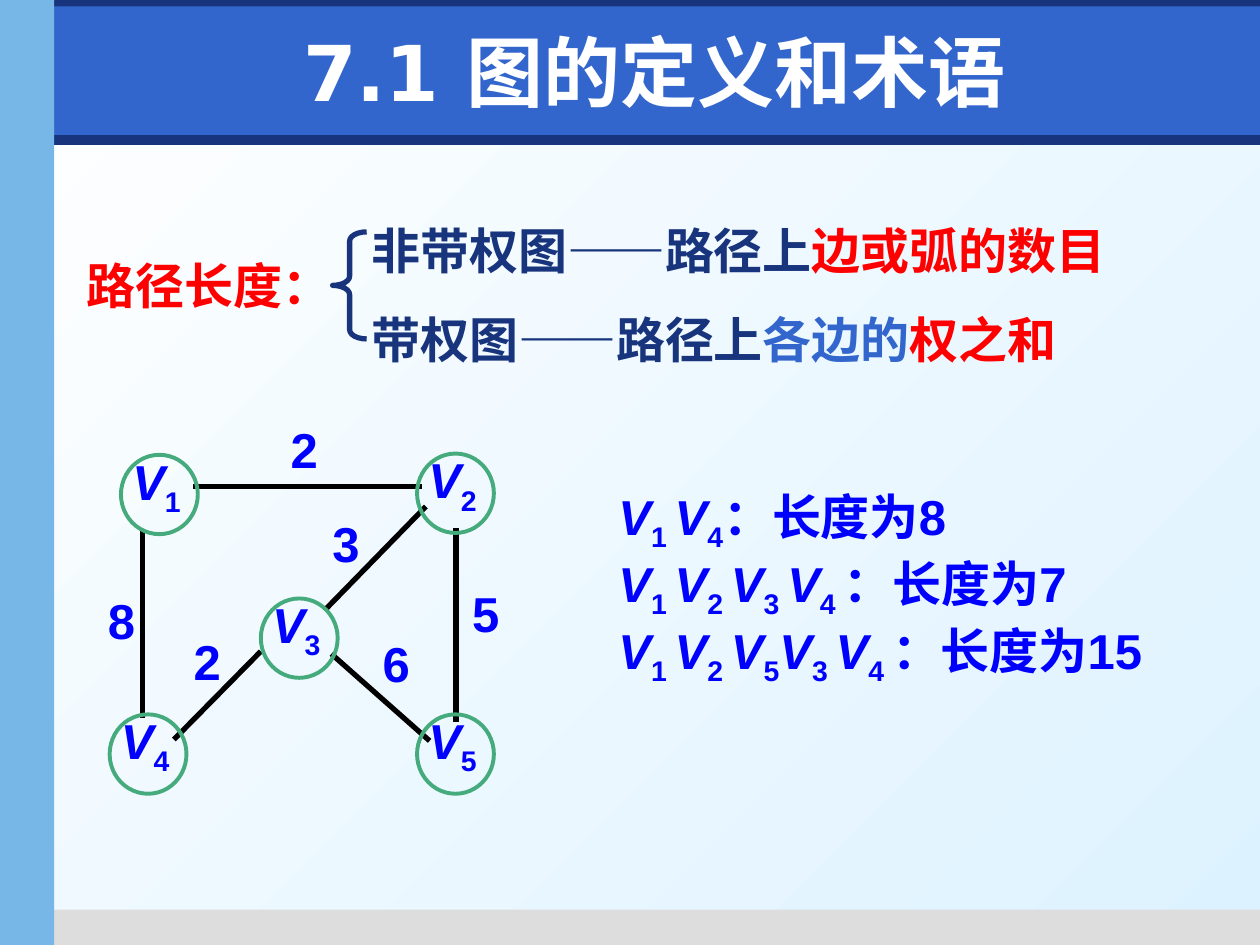
from dataclasses import dataclass

from lxml import etree
from pptx import Presentation
from pptx.dml.color import RGBColor
from pptx.enum.shapes import MSO_CONNECTOR, MSO_SHAPE
from pptx.enum.text import MSO_ANCHOR, MSO_AUTO_SIZE, PP_ALIGN
from pptx.oxml.ns import qn
from pptx.util import Pt

PX = 9144  # EMU per px, 100 px to the inch
RECTANGLE, OVAL, BRACE = MSO_SHAPE.RECTANGLE, MSO_SHAPE.OVAL, MSO_SHAPE.LEFT_BRACE
STRAIGHT = MSO_CONNECTOR.STRAIGHT
LEFT, CENTER, JUSTIFY = PP_ALIGN.LEFT, PP_ALIGN.CENTER, PP_ALIGN.JUSTIFY
TOP, MIDDLE = MSO_ANCHOR.TOP, MSO_ANCHOR.MIDDLE


@dataclass(frozen=True)
class Theme:
    navy: str = "17347D"
    blue: str = "3366CC"
    sky: str = "77B7E7"
    gray: str = "DDDDDD"
    pale: str = "DDF2FF"
    white: str = "FFFFFF"
    red: str = "FF0000"
    ink: str = "0000FF"
    green: str = "45AB7D"
    black: str = "000000"
    font: str = "Arial"
    title_font: str = "DejaVu Sans"
    asian_font: str = "Noto Sans CJK SC"
    body_size: int = 28
    title_size: int = 44
    edge_width: float = 3
    circle_width: float = 2.25


THEME = Theme()


def rgb(color):
    return RGBColor.from_string(color)


def write_text(frame, paragraphs, color=THEME.ink, size=THEME.body_size, font=THEME.font,
               align=LEFT, anchor=TOP, spacing=None, wrap=True, margins=None):
    """Fill a frame; each paragraph is a list of (text, run options) pairs."""
    frame.word_wrap = wrap
    frame.vertical_anchor = anchor
    if margins:
        (frame.margin_left, frame.margin_top,
         frame.margin_right, frame.margin_bottom) = [m * PX for m in margins]
    for index, runs in enumerate(paragraphs):
        paragraph = frame.add_paragraph() if index else frame.paragraphs[0]
        paragraph.alignment = align
        paragraph.line_spacing = spacing
        for text, options in runs:
            run = paragraph.add_run()
            run.text = text
            run.font.name = options.get("font", font)
            run.font.size = Pt(size)
            run.font.bold = True
            run.font.italic = options.get("italic", False)
            run.font.color.rgb = rgb(options.get("color", color))
            properties = run.font._element
            if options.get("subscript"):
                properties.set("baseline", "-25000")
            asian = etree.Element(qn("a:ea"), typeface=THEME.asian_font)
            properties.find(qn("a:latin")).addnext(asian)


def vertex_runs(*indices):
    """Italic V with each index as its subscript."""
    return [run for index in indices
            for run in (("V", {"italic": True}), (index, {"subscript": True}))]


class SlideBuilder:
    def __init__(self, slide, theme):
        self.slide = slide
        self.shapes = slide.shapes
        self.theme = theme

    def background(self):
        fill = self.slide.background.fill
        fill.gradient()
        fill.gradient_angle = 315
        for stop, color in zip(fill.gradient_stops, (self.theme.white, self.theme.pale)):
            stop.color.rgb = rgb(color)

    def shape(self, kind, box, fill=None, line=None, width=1):
        shape = self.shapes.add_shape(kind, *[v * PX for v in box])
        shape.shadow.inherit = False
        if fill:
            shape.fill.solid()
            shape.fill.fore_color.rgb = rgb(fill)
        else:
            shape.fill.background()
        if line:
            shape.line.color.rgb = rgb(line)
            shape.line.width = Pt(width)
        else:
            shape.line.fill.background()
        return shape

    def text(self, box, paragraphs, grow=True, **style):
        frame = self.shapes.add_textbox(*[v * PX for v in box]).text_frame
        write_text(frame, paragraphs, **style)
        if grow:
            frame.auto_size = MSO_AUTO_SIZE.SHAPE_TO_FIT_TEXT

    def edge(self, *ends):
        connector = self.shapes.add_connector(STRAIGHT, *[v * PX for v in ends])
        connector.line.color.rgb = rgb(self.theme.black)
        connector.line.width = Pt(self.theme.edge_width)
        etree.SubElement(connector._element.spPr, qn("a:effectLst"))

    def vertex(self, index, left, top):
        self.shape(OVAL, (left, top, 61, 63), line=self.theme.green,
                   width=self.theme.circle_width)
        self.text((left + 8, top - 6, 56, 74), [vertex_runs(index)], grow=False,
                  align=JUSTIFY, margins=(1, 3, 0, 1))

    def weight(self, value, left, top):
        self.text((left, top, 55, 57), [[(value, {})]], align=CENTER)

    def title(self, box, text):
        title = self.shapes.title
        title.left, title.top, title.width, title.height = [v * PX for v in box]
        write_text(title.text_frame, [[(text, {})]], color=self.theme.white,
                   size=self.theme.title_size, font=self.theme.title_font,
                   align=CENTER, anchor=MIDDLE)
        self.shapes._spTree.append(title._element)  # in front of the header band


BANDS = [
    ((4, 107, 996, 8), THEME.navy),
    ((35, 722, 965, 28), THEME.gray),
    ((0, 0, 1000, 21), THEME.navy),
    ((43, 5, 957, 102), THEME.blue),
    ((0, 0, 43, 750), THEME.sky),
]
EDGES = [
    (338, 402, 258, 484), (153, 386, 335, 386), (207, 517, 138, 587),
    (362, 419, 362, 573), (263, 519, 341, 588), (113, 420, 113, 570),
]
VERTICES = [("1", 96, 361), ("2", 331, 360), ("3", 207, 475), ("4", 87, 567), ("5", 331, 567)]
WEIGHTS = [("2", 214, 328), ("5", 358, 458), ("6", 287, 498),
           ("3", 247, 403), ("2", 137, 496), ("8", 69, 464)]
DASH = ("——", {"font": THEME.asian_font})
RED = {"color": THEME.red}
DEFINITIONS = [
    [("非带权图", {}), DASH, ("路径上", {}), ("边或弧的数目", RED)],
    [("带权图", {}), DASH, ("路径上", {}), ("各边的", {"color": THEME.blue}), ("权之和", RED)],
]
PATH_LENGTHS = [
    (("1 ", "4"), "：长度为8"),
    (("1 ", "2 ", "3 ", "4 "), "：长度为7"),
    (("1 ", "2 ", "5", "3 ", "4 "), "：长度为15"),
]


def main():
    presentation = Presentation()
    presentation.slide_width, presentation.slide_height = 1000 * PX, 750 * PX
    slide = presentation.slides.add_slide(presentation.slide_layouts[5])
    builder = SlideBuilder(slide, THEME)

    builder.background()
    for box, color in BANDS:
        builder.shape(RECTANGLE, box, fill=color)
    builder.title((59, 13, 921, 87), "7.1 图的定义和术语")

    builder.text((59, 198, 250, 63), [[("路径长度：", RED)]], grow=False)
    builder.text((285, 147, 612, 142), DEFINITIONS, color=THEME.navy, spacing=1.5, wrap=False)
    brace = builder.shape(BRACE, (264, 184, 27, 85), line=THEME.navy, width=THEME.edge_width)
    brace.adjustments[0] = 0.27
    builder.text((481, 381, 483, 151),
                 [vertex_runs(*path) + [(length, {})] for path, length in PATH_LENGTHS])

    for ends in EDGES:
        builder.edge(*ends)
    for vertex in VERTICES:
        builder.vertex(*vertex)
    for weight in WEIGHTS:
        builder.weight(*weight)

    presentation.save("out.pptx")


if __name__ == "__main__":
    main()
